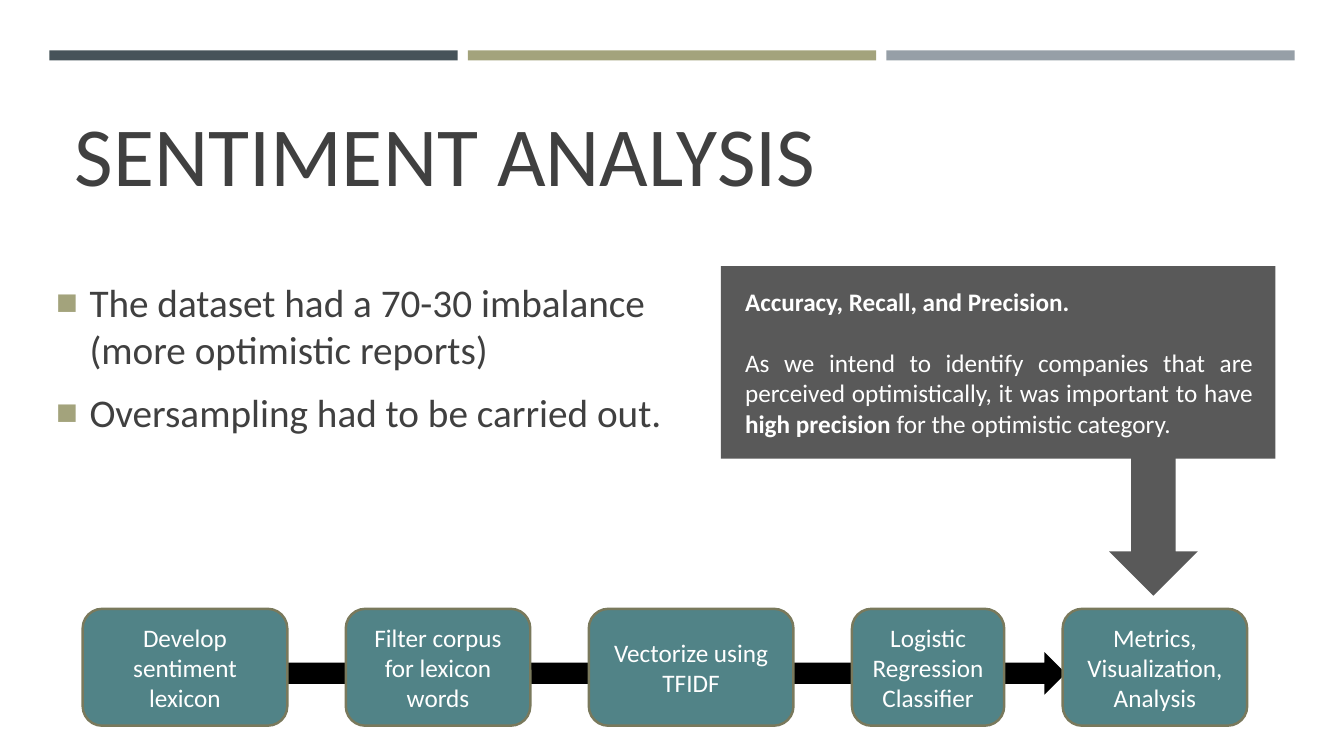
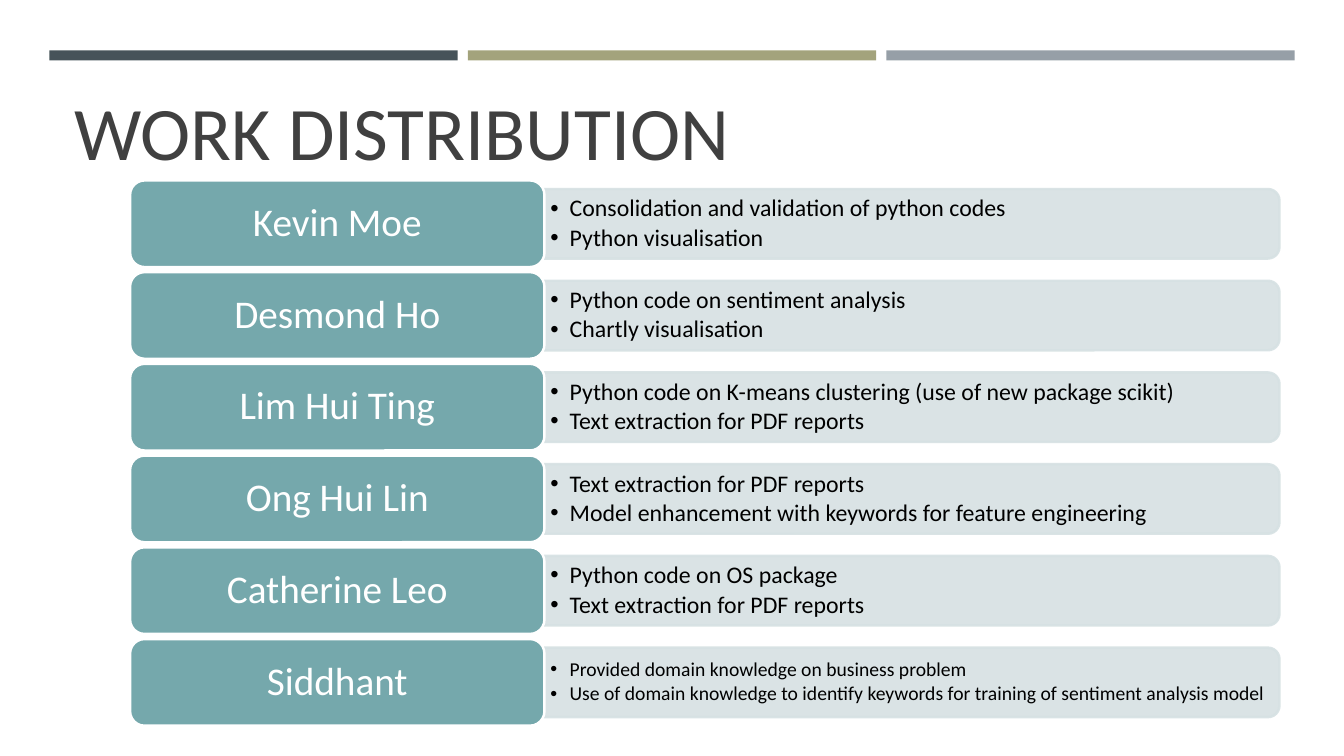
from dataclasses import dataclass

from lxml import etree
from pptx import Presentation
from pptx.dml.color import RGBColor
from pptx.enum.shapes import MSO_SHAPE
from pptx.enum.text import MSO_ANCHOR, PP_ALIGN
from pptx.oxml.ns import qn
from pptx.util import Inches, Pt

RECTANGLE = MSO_SHAPE.RECTANGLE
ROUNDED = MSO_SHAPE.ROUNDED_RECTANGLE
ROUNDED_END = MSO_SHAPE.ROUND_2_SAME_RECTANGLE
DOWN_ARROW = MSO_SHAPE.DOWN_ARROW
RIGHT_ARROW = MSO_SHAPE.RIGHT_ARROW
TOP, MIDDLE, BOTTOM = MSO_ANCHOR.TOP, MSO_ANCHOR.MIDDLE, MSO_ANCHOR.BOTTOM
LEFT, CENTER, JUSTIFY = PP_ALIGN.LEFT, PP_ALIGN.CENTER, PP_ALIGN.JUSTIFY

FONT = "Calibri"
SLIDE_WIDTH, SLIDE_HEIGHT = 13.33, 7.5
INK, BLACK, WHITE = "404040", "000000", "FFFFFF"
OLIVE, CALLOUT_GREY = "A3A37C", "595959"
BAND_COLORS = ("465359", OLIVE, "969FA7")
STEP_FILL, STEP_LINE = "518387", "79795C"
NAME_FILL, TASK_FILL = "75A8AC", "D6E1E3"
LINE_WIDTH = 1.75

BAND_LEFT, BAND_TOP, BAND_WIDTH, BAND_PITCH = 0.49, 0.5, 4.05, 4.15
STEP_LEFT, STEP_TOP, STEP_HEIGHT, STEP_GAP = 0.82, 6.04, 1.16, 0.58
ROW_TOP, ROW_PITCH = 1.79, 0.91
NAME_LEFT, NAME_WIDTH, NAME_HEIGHT = 1.29, 4.11, 0.86
TASK_LEFT, TASK_WIDTH, TASK_HEIGHT = 5.39, 7.3, 0.69


@dataclass(frozen=True)
class Box:
    left: float
    top: float
    width: float
    height: float

    def lengths(self) -> tuple:
        return tuple(Inches(v) for v in (self.left, self.top, self.width, self.height))


@dataclass(frozen=True)
class TextStyle:
    size: float
    color: str
    align: PP_ALIGN = LEFT
    line_spacing: float | None = None
    before: float = 0
    after: float = 0


@dataclass(frozen=True)
class Bullet:
    symbol: str
    indent: float
    color: str
    percent: int = 100


@dataclass(frozen=True)
class Run:
    text: str
    bold: bool = False


@dataclass(frozen=True)
class Step:
    width: float
    lines: tuple[str, ...]


TITLE_BOX = Box(0.64, 0.77, 12.06, 1.3)
STEP_STYLE = TextStyle(18, WHITE, CENTER)
CALLOUT_STYLE = TextStyle(18, WHITE, JUSTIFY, before=22)
POINT_STYLE = TextStyle(28, INK, before=5.6, after=6)
NAME_STYLE = TextStyle(28, WHITE, CENTER, line_spacing=0.9)
TASK_STYLE = TextStyle(17, BLACK, line_spacing=0.9, after=2.55)
LONG_TASK_STYLE = TextStyle(14, BLACK, line_spacing=0.9, after=2.1)
POINT_BULLET = Bullet("■", 0.33, OLIVE, 92)
TASK_BULLET = Bullet("•", 0.19, BLACK)


@dataclass(frozen=True)
class Member:
    name: str
    tasks: tuple[str, ...]
    style: TextStyle = TASK_STYLE


STEPS = (
    Step(2.03, ("Develop sentiment lexicon",)),
    Step(1.83, ("Filter corpus for lexicon words",)),
    Step(2.03, ("Vectorize using TFIDF",)),
    Step(1.51, ("Logistic Regression Classifier",)),
    Step(1.83, ("Metrics, Visualization,", "Analysis")),
)
POINTS = (
    "The dataset had a 70-30 imbalance (more optimistic reports)",
    "Oversampling had to be carried out.",
)
CALLOUT = (
    (Run("Accuracy, Recall, and Precision.", True),),
    (
        Run("As we intend to identify companies that are perceived "
            "optimistically, it was important to have "),
        Run("high precision ", True),
        Run("for the optimistic category."),
    ),
)
MEMBERS = (
    Member("Kevin Moe", ("Consolidation and validation of python codes",
                         "Python visualisation")),
    Member("Desmond Ho", ("Python code on sentiment analysis",
                          "Chartly visualisation")),
    Member("Lim Hui Ting", ("Python code on K-means clustering (use of new package scikit)",
                            "Text extraction for PDF reports")),
    Member("Ong Hui Lin", ("Text extraction for PDF reports",
                           "Model enhancement with keywords for feature engineering")),
    Member("Catherine Leo", ("Python code on OS package",
                             "Text extraction for PDF reports")),
    Member("Siddhant", ("Provided domain knowledge on business problem",
                        "Use of domain knowledge to identify keywords for training "
                        "of sentiment analysis model"), LONG_TASK_STYLE),
)


def rgb(value: str) -> RGBColor:
    return RGBColor.from_string(value)


def plain(lines: tuple[str, ...]) -> tuple:
    """Turn each line into a paragraph of one run."""
    return tuple((Run(line),) for line in lines)


def add_bullet(paragraph, bullet: Bullet) -> None:
    properties = paragraph._p.get_or_add_pPr()
    properties.set("marL", str(Inches(bullet.indent)))
    properties.set("indent", str(-Inches(bullet.indent)))
    color = etree.SubElement(properties, qn("a:buClr"))
    etree.SubElement(color, qn("a:srgbClr")).set("val", bullet.color)
    size = etree.SubElement(properties, qn("a:buSzPct"))
    size.set("val", str(bullet.percent * 1000))
    etree.SubElement(properties, qn("a:buFont")).set("typeface", "Arial")
    etree.SubElement(properties, qn("a:buChar")).set("char", bullet.symbol)


def write(shape, paragraphs: tuple, style: TextStyle, anchor=MIDDLE,
          insets: tuple = (0.1, 0.05, 0.1, 0.05), bullet: Bullet | None = None) -> None:
    """Fill a shape with paragraphs of runs; insets run left, top, right, bottom."""
    frame = shape.text_frame
    frame.word_wrap = True
    frame.vertical_anchor = anchor
    (frame.margin_left, frame.margin_top,
     frame.margin_right, frame.margin_bottom) = map(Inches, insets)
    for index, runs in enumerate(paragraphs):
        paragraph = frame.add_paragraph() if index else frame.paragraphs[0]
        if bullet:
            add_bullet(paragraph, bullet)
        paragraph.alignment = style.align
        paragraph.line_spacing = style.line_spacing
        paragraph.space_before = Pt(style.before if index else 0)
        paragraph.space_after = Pt(style.after)
        for item in runs:
            run = paragraph.add_run()
            run.text = item.text
            run.font.name = FONT
            run.font.size = Pt(style.size)
            run.font.bold = item.bold
            run.font.color.rgb = rgb(style.color)


def add_shape(slide, kind, box: Box, fill: str, line: str | None = None):
    shape = slide.shapes.add_shape(kind, *box.lengths())
    shape.shadow.inherit = False
    shape.fill.solid()
    shape.fill.fore_color.rgb = rgb(fill)
    if line:
        shape.line.color.rgb = rgb(line)
        shape.line.width = Pt(LINE_WIDTH)
    else:
        shape.line.fill.background()
    return shape


def set_opacity(shape, percent: int) -> None:
    for color in shape._element.spPr.iter(qn("a:srgbClr")):
        etree.SubElement(color, qn("a:alpha")).set("val", str(percent * 1000))


def add_base_slide(presentation, title: str, size: float, title_box: Box):
    """Add a slide with the three top bands and its title."""
    slide = presentation.slides.add_slide(presentation.slide_layouts[6])
    for column, color in enumerate(BAND_COLORS):
        band = Box(BAND_LEFT + column * BAND_PITCH, BAND_TOP, BAND_WIDTH, 0.1)
        add_shape(slide, RECTANGLE, band, color)
    text_box = slide.shapes.add_textbox(*title_box.lengths())
    write(text_box, plain((title,)), TextStyle(size, INK), BOTTOM)
    return slide


def add_steps(slide) -> None:
    add_shape(slide, RIGHT_ARROW, Box(1.64, 6.47, 8.93, 0.42), BLACK)
    left = STEP_LEFT
    for step in STEPS:
        box = Box(left, STEP_TOP, step.width, STEP_HEIGHT)
        shape = add_shape(slide, ROUNDED, box, STEP_FILL, STEP_LINE)
        write(shape, plain(step.lines), STEP_STYLE)
        left += step.width + STEP_GAP


def add_member(slide, row: int, member: Member) -> None:
    top = ROW_TOP + row * ROW_PITCH
    middle_x = TASK_LEFT + TASK_WIDTH / 2
    middle_y = top + NAME_HEIGHT / 2
    upright = Box(middle_x - TASK_HEIGHT / 2, middle_y - TASK_WIDTH / 2,
                  TASK_HEIGHT, TASK_WIDTH)
    panel = add_shape(slide, ROUNDED_END, upright, TASK_FILL, TASK_FILL)
    panel.rotation = 90
    set_opacity(panel, 90)
    tasks = slide.shapes.add_textbox(
        *Box(TASK_LEFT, middle_y - 0.31, TASK_WIDTH - 0.03, 0.62).lengths())
    write(tasks, plain(member.tasks), member.style,
          insets=(0.07, 0.04, 0.07, 0.04), bullet=TASK_BULLET)
    name = add_shape(slide, ROUNDED, Box(NAME_LEFT, top, NAME_WIDTH, NAME_HEIGHT),
                     NAME_FILL, WHITE)
    write(name, plain((member.name,)), NAME_STYLE)


def add_analysis_slide(presentation) -> None:
    slide = add_base_slide(presentation, "SENTIMENT ANALYSIS", 60, TITLE_BOX)
    add_shape(slide, DOWN_ARROW, Box(11, 4.13, 0.88, 1.78), CALLOUT_GREY)
    callout = add_shape(slide, RECTANGLE, Box(7.15, 2.64, 5.5, 1.91), CALLOUT_GREY)
    write(callout, CALLOUT, CALLOUT_STYLE, TOP, (0.24, 0.2, 0.22, 0.05))
    add_steps(slide)
    points = slide.shapes.add_textbox(*Box(0.46, 1.99, 6.56, 3.1).lengths())
    write(points, plain(POINTS), POINT_STYLE, bullet=POINT_BULLET)


def add_work_slide(presentation) -> None:
    title_box = Box(TITLE_BOX.left, 0.49, TITLE_BOX.width, TITLE_BOX.height)
    slide = add_base_slide(presentation, "WORK DISTRIBUTION", 54, title_box)
    for row, member in enumerate(MEMBERS):
        add_member(slide, row, member)


def main() -> None:
    presentation = Presentation()
    presentation.slide_width = Inches(SLIDE_WIDTH)
    presentation.slide_height = Inches(SLIDE_HEIGHT)
    add_analysis_slide(presentation)
    add_work_slide(presentation)
    presentation.save("out.pptx")


if __name__ == "__main__":
    main()
